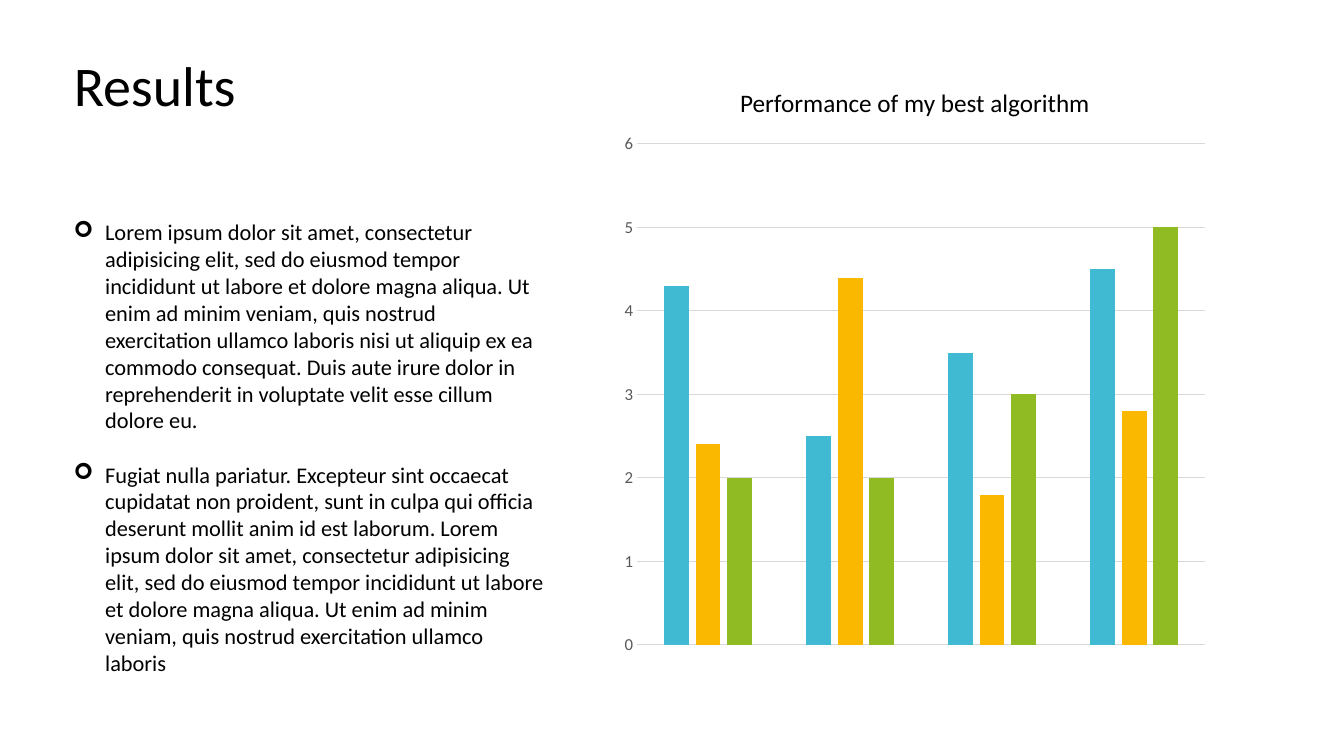
from lxml.etree import SubElement
from pptx import Presentation
from pptx.chart.data import CategoryChartData
from pptx.dml.color import RGBColor
from pptx.enum.chart import XL_CHART_TYPE, XL_TICK_MARK
from pptx.enum.text import MSO_ANCHOR, MSO_AUTO_SIZE, PP_ALIGN
from pptx.oxml.ns import qn
from pptx.util import Pt

FONT = "Calibri"
BLACK = "000000"
FINDINGS = [
    "Lorem ipsum dolor sit amet, consectetur adipisicing elit, sed do eiusmod tempor "
    "incididunt ut labore et dolore magna aliqua. Ut enim ad minim veniam, quis nostrud "
    "exercitation ullamco laboris nisi ut aliquip ex ea commodo consequat. Duis aute irure "
    "dolor in reprehenderit in voluptate velit esse cillum dolore eu.",
    "Fugiat nulla pariatur. Excepteur sint occaecat cupidatat non proident, sunt in culpa "
    "qui officia deserunt mollit anim id est laborum. Lorem ipsum dolor sit amet, consectetur "
    "adipisicing elit, sed do eiusmod tempor incididunt ut labore et dolore magna aliqua. "
    "Ut enim ad minim veniam, quis nostrud exercitation ullamco laboris",
]
PERFORMANCE = [
    ("Series 1", (4.3, 2.5, 3.5, 4.5), "40BAD2"),
    ("Series 2", (2.4, 4.4, 1.8, 2.8), "FAB900"),
    ("Series 3", (2, 2, 3, 5), "90BB23"),
]


def color(hex_code):
    return RGBColor.from_string(hex_code)


def style(font, size, hex_code=BLACK):
    font.name = FONT
    font.size = Pt(size)
    font.color.rgb = color(hex_code)


def write(holder, texts, size, align=PP_ALIGN.LEFT, bullet=None, indent=0, gap=0):
    frame = holder.text_frame
    frame.word_wrap = True
    frame.auto_size = MSO_AUTO_SIZE.SHAPE_TO_FIT_TEXT
    frame.vertical_anchor = MSO_ANCHOR.TOP
    for index, text in enumerate(texts):
        paragraph = frame.add_paragraph() if index else frame.paragraphs[0]
        paragraph.alignment = align
        if index:
            paragraph.space_before = Pt(gap)
        if bullet:
            properties = paragraph._p.get_or_add_pPr()
            properties.set("marL", str(Pt(indent)))
            properties.set("indent", str(-Pt(indent)))
            SubElement(properties, qn("a:buFont"), typeface="Wingdings")
            SubElement(properties, qn("a:buChar"), char=bullet)
        run = paragraph.add_run()
        run.text = text
        style(run.font, size)


def add_heading(slide, left, top, width, height):
    heading = slide.shapes.title
    heading.left, heading.top = Pt(left), Pt(top)
    heading.width, heading.height = Pt(width), Pt(height)
    write(heading, ["Results"], 40)


def add_findings(slide, left, top, width, height):
    findings = slide.shapes.add_textbox(Pt(left), Pt(top), Pt(width), Pt(height))
    write(findings, FINDINGS, 16, bullet="➢", indent=22.5, gap=19.5)


def add_performance(slide, left, top, width, height):
    caption_height = 29
    caption = slide.shapes.add_textbox(
        Pt(left + 24), Pt(top), Pt(width - 48), Pt(caption_height))
    write(caption, ["Performance of my best algorithm"], 18, align=PP_ALIGN.CENTER)

    data = CategoryChartData()
    data.categories = ["1", "2", "3", "4"]
    for name, values, _ in PERFORMANCE:
        data.add_series(name, values)
    chart = slide.shapes.add_chart(
        XL_CHART_TYPE.COLUMN_CLUSTERED, Pt(left), Pt(top + caption_height),
        Pt(width), Pt(height - caption_height), data).chart
    chart.has_legend = False
    chart.has_title = False
    style(chart.font, 10)

    plot = chart.plots[0]
    plot.vary_by_categories = False
    plot.gap_width = 219
    plot.overlap = -27
    for series, (_, _, hex_code) in zip(plot.series, PERFORMANCE):
        series.format.fill.solid()
        series.format.fill.fore_color.rgb = color(hex_code)

    chart.category_axis.visible = False
    scores = chart.value_axis
    scores.minimum_scale, scores.maximum_scale, scores.major_unit = 0, 6, 1
    scores.major_tick_mark = XL_TICK_MARK.NONE
    scores.minor_tick_mark = XL_TICK_MARK.NONE
    scores.format.line.fill.background()
    style(scores.tick_labels.font, 12, "595959")
    gridline = scores.major_gridlines.format.line
    gridline.color.rgb = color("D9D9D9")
    gridline.width = Pt(0.75)


def main():
    deck = Presentation()
    deck.slide_width, deck.slide_height = Pt(960), Pt(540)
    slide = deck.slides.add_slide(deck.slide_layouts[5])
    add_heading(slide, 45.5, 32.5, 518.5, 55.5)
    add_findings(slide, 45.5, 152.5, 350.5, 337)
    add_performance(slide, 437.5, 59, 432, 416.5)
    deck.save("out.pptx")


if __name__ == "__main__":
    main()
